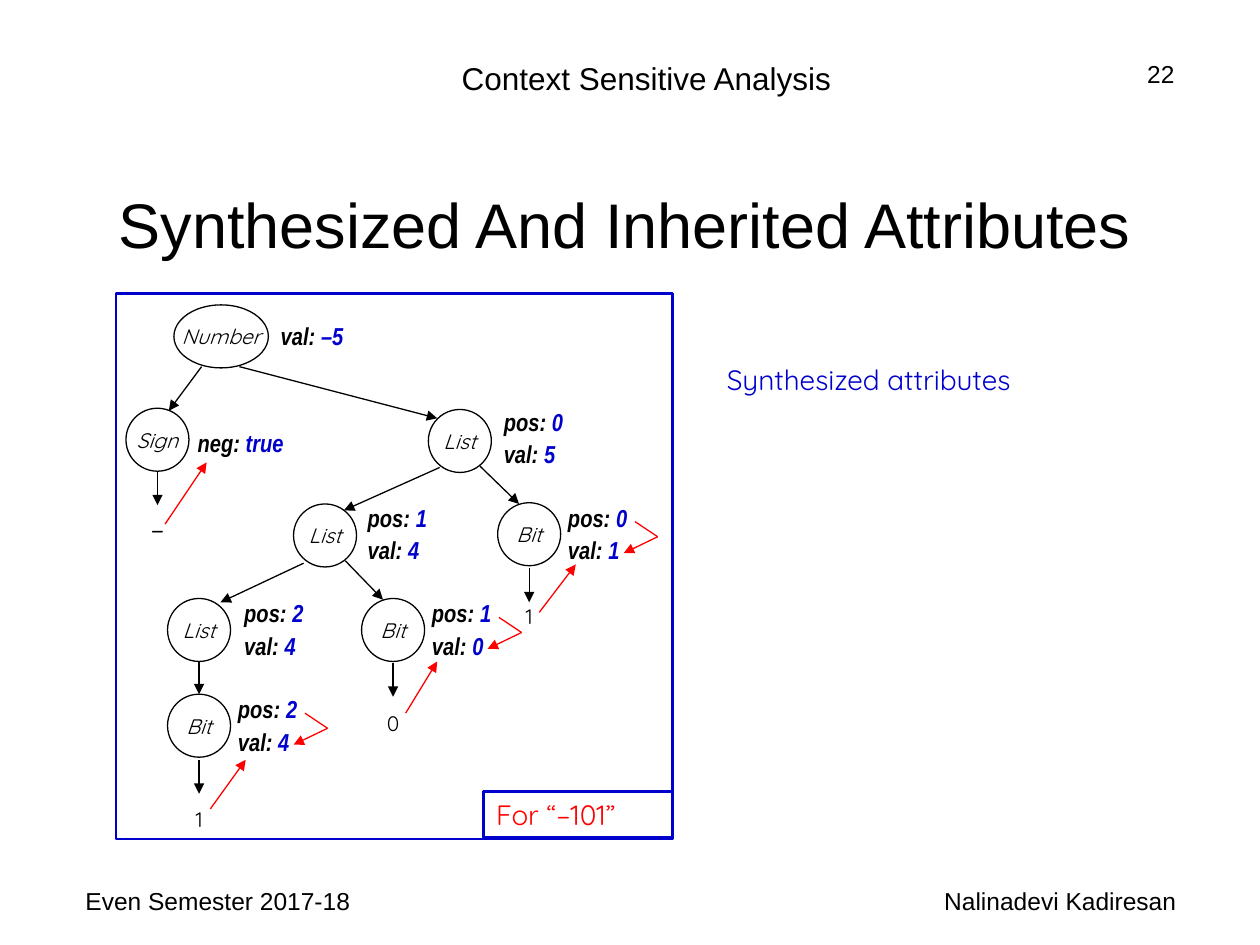
import pptx
import pptx.dml.color
import pptx.enum.shapes
import pptx.enum.text
import pptx.oxml
import pptx.oxml.ns
import pptx.util
from pptx.util import Inches

COLORS = {"ink": "000000", "blue": "0000CC", "red": "FF0000"}
ALIGN = pptx.enum.text.PP_ALIGN
ANCHOR = pptx.enum.text.MSO_ANCHOR
SHAPES = pptx.enum.shapes.MSO_SHAPE

NODE_SIZE = 0.5
NODES = {
    "number": ("Number", 0.46, 0.09, 0.75),
    "sign": ("Sign", 0.08, 0.91, NODE_SIZE),
    "list_0": ("List", 2.48, 0.92, NODE_SIZE),
    "bit_0": ("Bit", 3.03, 1.66, NODE_SIZE),
    "list_1": ("List", 1.41, 1.67, NODE_SIZE),
    "bit_1": ("Bit", 1.95, 2.42, NODE_SIZE),
    "list_2": ("List", 0.41, 2.42, NODE_SIZE),
    "bit_2": ("Bit", 0.41, 3.18, NODE_SIZE),
}
BRANCHES = [
    (0.68, 0.58, 0.42, 0.93),
    (0.98, 0.58, 2.55, 0.99),
    (2.89, 1.37, 3.2, 1.67),
    (2.57, 1.38, 1.81, 1.72),
    (1.82, 2.12, 2.12, 2.43),
    (1.49, 2.14, 0.83, 2.45),
    (0.66, 2.92, 0.66, 3.18),
]
LEAVES = [
    ("sign", "–", 16, 0, 0.27),
    ("bit_0", "1", 12, 0.02, 0.25),
    ("bit_1", "0", 12, 0.01, 0.34),
    ("bit_2", "1", 12, 0.02, 0.34),
]
ATTRIBUTES = [
    (1.21, 0.17, [("val", "–5")], False),
    (0.55, 1.02, [("neg", "true")], False),
    (2.98, 0.85, [("pos", "0"), ("val", "5")], False),
    (3.49, 1.61, [("pos", "0"), ("val", "1")], True),
    (1.9, 1.61, [("pos", "1"), ("val", "4")], False),
    (2.41, 2.37, [("pos", "1"), ("val", "0")], True),
    (0.92, 2.37, [("pos", "2"), ("val", "4")], False),
    (0.87, 3.13, [("pos", "2"), ("val", "4")], True),
]
LEAF_FLOWS = [
    (0.39, 1.83, 0.72, 1.34),
    (3.36, 2.53, 3.65, 2.15),
    (2.3, 3.33, 2.55, 2.92),
    (0.75, 4.09, 1.03, 3.7),
]


def rgb(name):
    return pptx.dml.color.RGBColor.from_string(COLORS[name])


def format_run(run, font, size, color, bold=False, italic=False):
    run.font.name = font
    run.font.size = pptx.util.Pt(size)
    run.font.color.rgb = rgb(color)
    run.font.bold = bold
    run.font.italic = italic


def write(shape, text, font, size, color, align=ALIGN.LEFT, italic=False, wrap=True):
    frame = shape.text_frame
    frame.text = text
    frame.word_wrap = wrap
    paragraph = frame.paragraphs[0]
    paragraph.alignment = align
    format_run(paragraph.runs[0], font, size, color, italic=italic)


def add_text(slide, box, *style, **options):
    shape = slide.shapes.add_textbox(*map(Inches, box))
    write(shape, *style, **options)


def add_outline(slide, kind, box, color, width):
    shape = slide.shapes.add_shape(kind, *map(Inches, box))
    shape.shadow.inherit = False
    shape.fill.background()
    shape.line.color.rgb = rgb(color)
    shape.line.width = pptx.util.Pt(width)
    return shape


def add_line(slide, origin, ends, color, arrow=True):
    left, top = origin
    x1, y1, x2, y2 = ends
    line = slide.shapes.add_connector(
        pptx.enum.shapes.MSO_CONNECTOR.STRAIGHT,
        Inches(left + x1), Inches(top + y1), Inches(left + x2), Inches(top + y2))
    line.line.color.rgb = rgb(color)
    line.line.width = pptx.util.Pt(0.75)
    if arrow:
        tail = pptx.oxml.parse_xml(
            f'<a:tailEnd {pptx.oxml.ns.nsdecls("a")} type="triangle"/>')
        line.line._get_or_add_ln().append(tail)
    properties = line._element.spPr
    properties.append(pptx.oxml.parse_xml(f'<a:effectLst {pptx.oxml.ns.nsdecls("a")}/>'))


def add_title(slide, box):
    title = slide.shapes.title
    title.left, title.top, title.width, title.height = map(Inches, box)
    write(title, "Synthesized And Inherited Attributes", "Arial", 36, "ink", ALIGN.CENTER)
    title.text_frame.auto_size = pptx.enum.text.MSO_AUTO_SIZE.NONE
    title.text_frame.vertical_anchor = ANCHOR.MIDDLE


def add_attributes(slide, origin, x, y, pairs, inherited):
    left, top = origin[0] + x, origin[1] + y
    height = 0.34 if len(pairs) == 1 else 0.59
    shape = slide.shapes.add_textbox(*map(Inches, (left, top, 1, height)))
    frame = shape.text_frame
    frame.word_wrap = True
    for index, (name, value) in enumerate(pairs):
        paragraph = frame.add_paragraph() if index else frame.paragraphs[0]
        paragraph.space_before = pptx.util.Pt(1.8 if index else 0)
        for text, color in ((f"{name}: ", "ink"), (value, "blue")):
            run = paragraph.add_run()
            run.text = text
            format_run(run, "Arial Narrow", 14, color, bold=True, italic=True)
    if inherited:
        add_line(slide, (left, top), (0.63, 0.2, 0.81, 0.32), "red", arrow=False)
        add_line(slide, (left, top), (0.81, 0.32, 0.54, 0.45), "red")


def add_tree(slide, box):
    left, top, width, height = box
    origin = (left, top)
    add_outline(slide, SHAPES.RECTANGLE, box, "blue", 1.5)
    for label, x, y, node_width in NODES.values():
        node = add_outline(slide, SHAPES.OVAL,
                           (left + x, top + y, node_width, NODE_SIZE), "ink", 0.75)
        write(node, label, "Quicksand", 12, "ink", ALIGN.CENTER, italic=True, wrap=False)
        node.text_frame.vertical_anchor = ANCHOR.MIDDLE
    for branch in BRANCHES:
        add_line(slide, origin, branch, "ink")
    for parent, text, size, gap, drop in LEAVES:
        _, x, y, node_width = NODES[parent]
        center, bottom = x + node_width / 2, y + NODE_SIZE
        add_line(slide, origin, (center, bottom + gap, center, bottom + gap + 0.27), "ink")
        add_text(slide, (left + center - 0.25, top + bottom + drop, 0.5, 0.3),
                 text, "Quicksand", size, "ink", ALIGN.CENTER)
    for attributes in ATTRIBUTES:
        add_attributes(slide, origin, *attributes)
    for flow in LEAF_FLOWS:
        add_line(slide, origin, flow, "red")
    caption_width, caption_height = 1.5, 0.37
    caption = add_outline(
        slide, SHAPES.RECTANGLE,
        (left + width - caption_width, top + height - caption_height - 0.01,
         caption_width, caption_height), "blue", 1.5)
    write(caption, "For “–101”", "Quicksand", 16, "red")
    caption.text_frame.vertical_anchor = ANCHOR.TOP


def add_page_labels(slide, box):
    left, top, width, height = box
    header, footer = top + 0.42, top + height - 0.52
    add_text(slide, (left + 1.42, header, 7.42, 0.4),
             "Context Sensitive Analysis", "Arial", 18, "ink", ALIGN.CENTER)
    add_text(slide, (left + 7.67, header, 1.75, 0.52), "22", "Arial", 14, "ink", ALIGN.RIGHT)
    add_text(slide, (left + 0.58, footer, 2.33, 0.52),
             "Even Semester 2017-18", "Arial", 14, "ink")
    add_text(slide, (left + width - 3.17, footer, 3.17, 0.52),
             "Nalinadevi Kadiresan", "Arial", 14, "ink", ALIGN.CENTER)


def main():
    presentation = pptx.Presentation()
    presentation.slide_width = Inches(10)
    presentation.slide_height = Inches(7.5)
    slide = presentation.slides.add_slide(presentation.slide_layouts[5])
    add_title(slide, (0.25, 1.33, 9.42, 0.88))
    add_tree(slide, (0.92, 2.33, 4.42, 4.33))
    add_text(slide, (5.67, 2.83, 4, 0.37), "Synthesized attributes", "Quicksand", 16, "blue")
    add_page_labels(slide, (0, 0, 10, 7.5))
    presentation.save("out.pptx")


if __name__ == "__main__":
    main()
